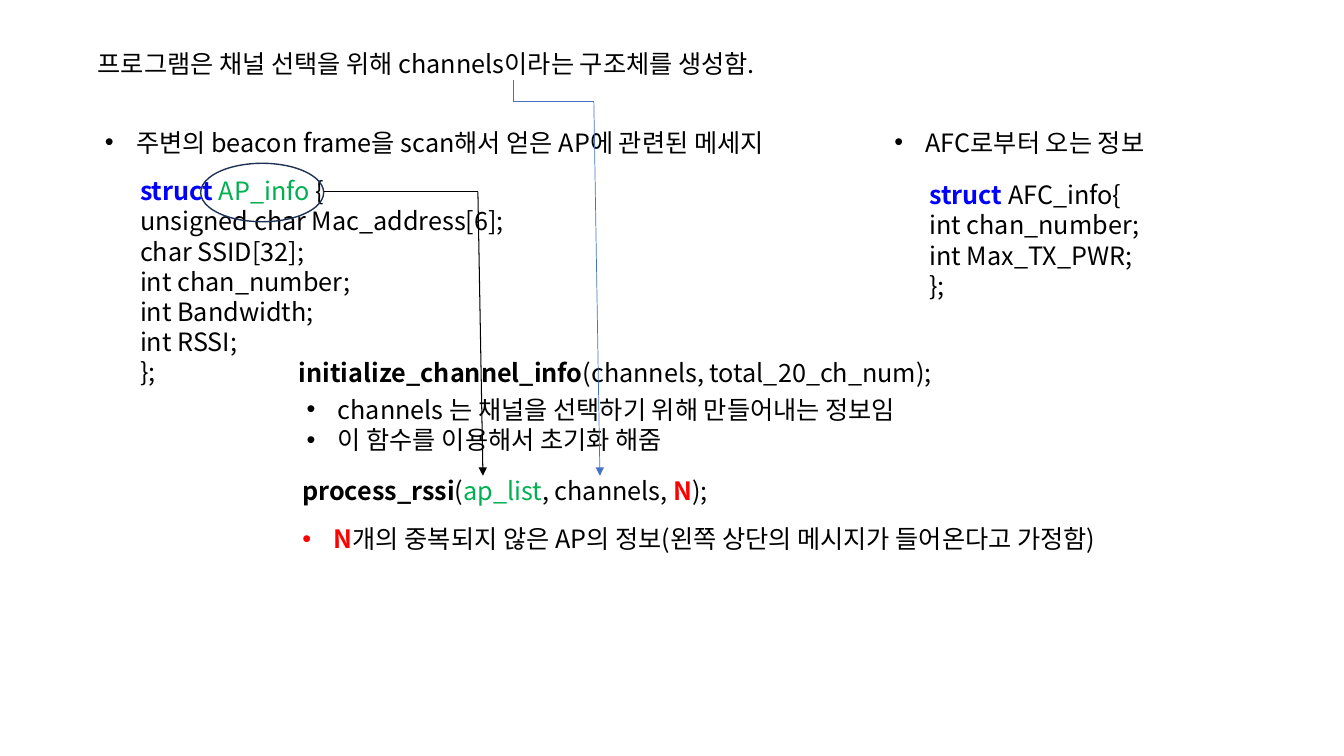
from dataclasses import dataclass

from lxml.etree import SubElement
from pptx import Presentation
from pptx.dml.color import RGBColor
from pptx.enum.shapes import MSO_CONNECTOR, MSO_SHAPE
from pptx.enum.text import MSO_ANCHOR, MSO_AUTO_SIZE, PP_ALIGN
from pptx.oxml.ns import qn
from pptx.util import Inches, Pt


@dataclass(frozen=True)
class Theme:
    """Colours, font and type size of the slide."""
    font: str = "Noto Sans CJK KR"
    size: int = 18
    black: str = "000000"
    keyword: str = "0000FF"
    access_point: str = "00B050"
    count: str = "FF0000"
    outline: str = "1E3256"
    channel_line: str = "4472C4"


THEME = Theme()


def add_run(paragraph, text, color=THEME.black, bold=False):
    """Append one formatted run to a paragraph."""
    run = paragraph.add_run()
    run.text = text
    run.font.size = Pt(THEME.size)
    run.font.bold = bold
    run.font.name = THEME.font
    run.font.color.rgb = RGBColor.from_string(color)
    SubElement(run.font._element, qn("a:ea"), typeface=THEME.font)


def write_text(shape, box, lines, bullet=False):
    """Place a text shape and fill it; each line is a list of (text, format) runs."""
    shape.left, shape.top, shape.width, shape.height = map(Inches, box)
    frame = shape.text_frame
    frame.word_wrap = True
    frame.auto_size = MSO_AUTO_SIZE.NONE
    frame.vertical_anchor = MSO_ANCHOR.TOP
    for index, runs in enumerate(lines):
        paragraph = frame.add_paragraph() if index else frame.paragraphs[0]
        paragraph.alignment = PP_ALIGN.LEFT
        paragraph.line_spacing = 1.0
        paragraph.space_before = paragraph.space_after = Pt(0)
        if bullet:
            properties = paragraph._p.get_or_add_pPr()
            properties.set("marL", str(Inches(0.31)))
            properties.set("indent", str(-Inches(0.31)))
            SubElement(properties, qn("a:buFont"), typeface="Arial")
            SubElement(properties, qn("a:buChar"), char="•")
        for text, style in runs:
            add_run(paragraph, text, **style)


def add_text(slide, box, lines):
    """Add a text box with formatted lines."""
    write_text(slide.shapes.add_textbox(0, 0, 0, 0), box, lines)


def add_path(slide, points, color, width, arrow=False):
    """Join points with straight connectors, optionally ending in an arrowhead."""
    for start, end in zip(points, points[1:]):
        line = slide.shapes.add_connector(
            MSO_CONNECTOR.STRAIGHT, *map(Inches, (*start, *end)))
        line.line.color.rgb = RGBColor.from_string(color)
        line.line.width = Pt(width)
        SubElement(line._element.spPr, qn("a:effectLst"))
        if arrow and end == points[-1]:
            SubElement(line.line._get_or_add_ln(), qn("a:tailEnd"), type="triangle")


def add_struct(slide, placeholder, box, caption, heading, fields, offset):
    """Write a bulleted caption with a struct listing below it."""
    left, top, width, height = box
    write_text(placeholder, (left, top, width, 0.4), [[(caption, {})]], bullet=True)
    body = [[(field, {})] for field in (*fields, "};")]
    add_text(slide, (left + 0.35, top + offset, width - 0.35, height - offset),
             [heading, *body])


def add_call(slide, placeholder, box, call, notes, offset):
    """Write a function call with bulleted notes below it."""
    left, top, width, height = box
    add_text(slide, (left, top, width, 0.4), [call])
    indent, drop = offset
    write_text(placeholder, (left + indent, top + drop, width - indent, height - drop),
               notes, bullet=True)


def add_flow(slide):
    """Circle AP_info and trace both arguments down to process_rssi."""
    ellipse = slide.shapes.add_shape(
        MSO_SHAPE.OVAL, *map(Inches, (1.99, 1.62, 1.22, 0.58)))
    ellipse.shadow.inherit = False
    ellipse.fill.background()
    ellipse.line.color.rgb = RGBColor.from_string(THEME.outline)
    ellipse.line.width = Pt(1)
    add_path(slide, [(3.21, 1.9), (4.74, 1.9), (4.79, 4.72)],
             THEME.black, 0.75, arrow=True)
    add_path(slide, [(5.09, 0.79), (5.09, 1.01), (5.89, 1.01), (5.95, 4.72)],
             THEME.channel_line, 0.5, arrow=True)


def build_slide(presentation):
    """Build the slide on channel selection structures."""
    slide = presentation.slides.add_slide(presentation.slide_layouts[4])
    title, ap_list, channel_list, afc_list, count_list = slide.placeholders
    keyword = {"color": THEME.keyword, "bold": True}
    access_point = {"color": THEME.access_point}
    count = {"color": THEME.count, "bold": True}
    strong = {"bold": True}

    write_text(title, (0.87, 0.43, 7.34, 0.4),
               [[("프로그램은 채널 선택을 위해 channels이라는 구조체를 생성함.", {})]])
    add_struct(slide, ap_list, (0.94, 1.21, 7.24, 2.7),
               "주변의 beacon frame을 scan해서 얻은 AP에 관련된 메세지",
               [("struct ", keyword), ("AP_info ", access_point), ("{", {})],
               ("unsigned char Mac_address[6];", "char SSID[32];",
                "int chan_number;", "int Bandwidth;", "int RSSI;"), 0.48)
    add_struct(slide, afc_list, (8.77, 1.21, 2.92, 1.83), "AFC로부터 오는 정보",
               [("struct", keyword), (" AFC_info{", {})],
               ("int chan_number;", "int Max_TX_PWR;"), 0.52)
    add_call(slide, channel_list, (2.81, 3.5, 6.72, 1.37),
             [(" ", {}), ("initialize_channel_info", strong),
              ("(channels, total_20_ch_num);", {})],
             [[("channels 는 채널을 선택하기 위해 만들어내는 정보임", {})],
              [("이 함수를 이용해서 초기화 해줌", {})]], (0.13, 0.36))
    add_call(slide, count_list, (2.9, 4.67, 8.97, 1.48),
             [("process_rssi", strong), ("(", {}), ("ap_list", access_point),
              (", channels, ", {}), ("N", count), (");", {})],
             [[("N", count),
               ("개의 중복되지 않은 AP의 정보(왼쪽 상단의 메시지가 들어온다고 가정함)", {})]],
             (0, 0.47))
    add_flow(slide)


def main():
    """Create and save the presentation."""
    presentation = Presentation()
    presentation.slide_width = Inches(13.33)
    presentation.slide_height = Inches(7.5)
    build_slide(presentation)
    presentation.save("out.pptx")


if __name__ == "__main__":
    main()
